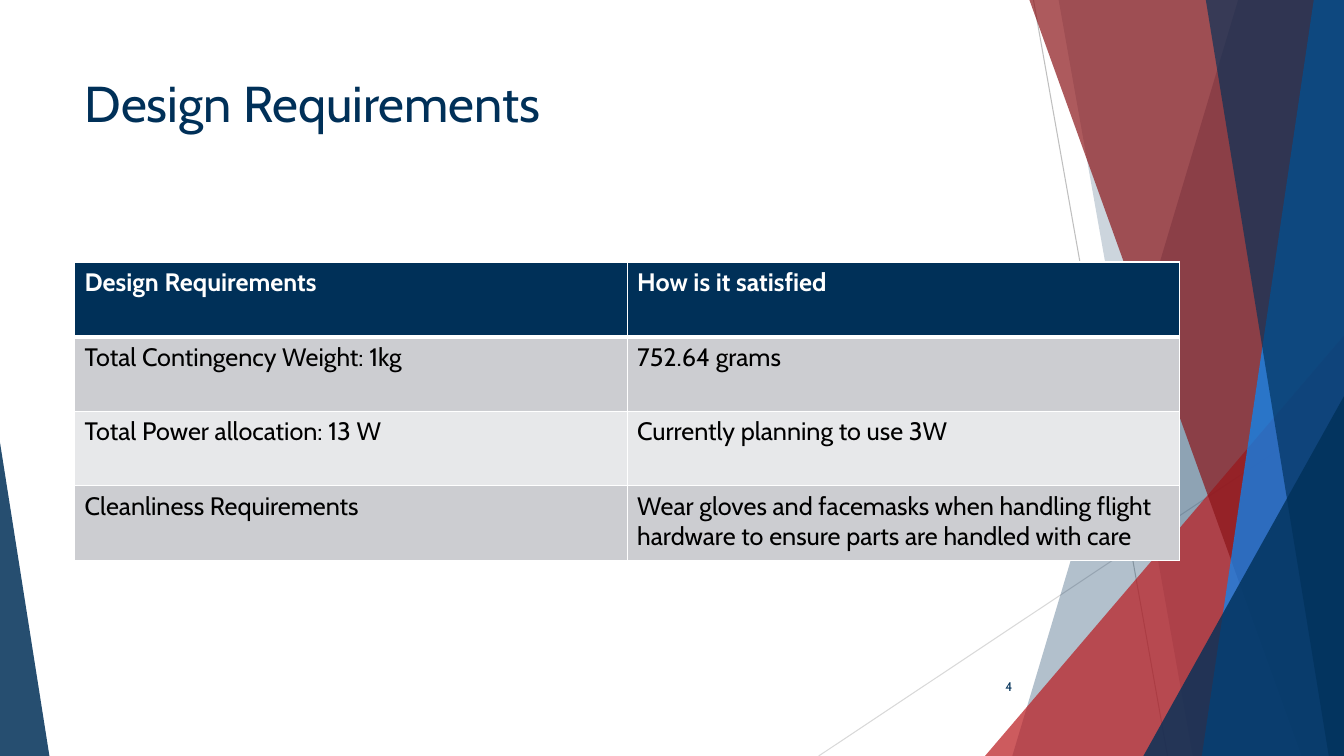
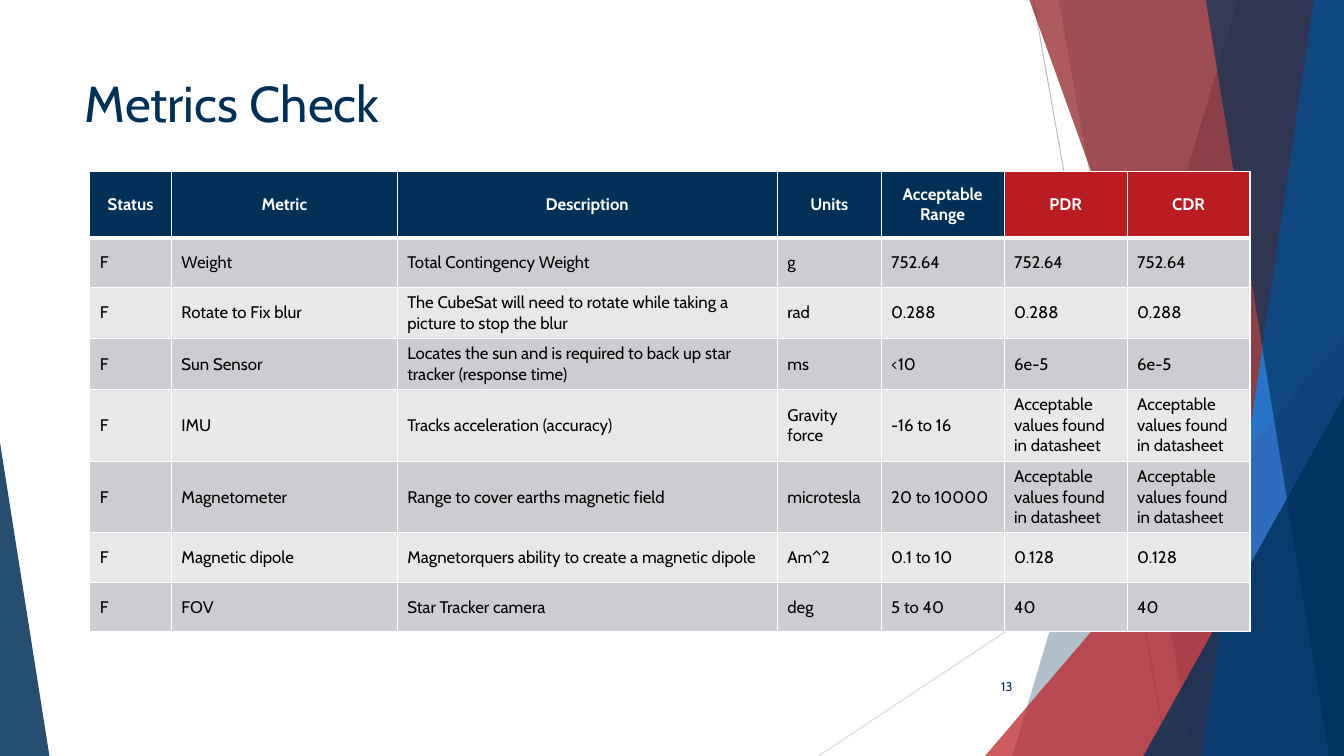
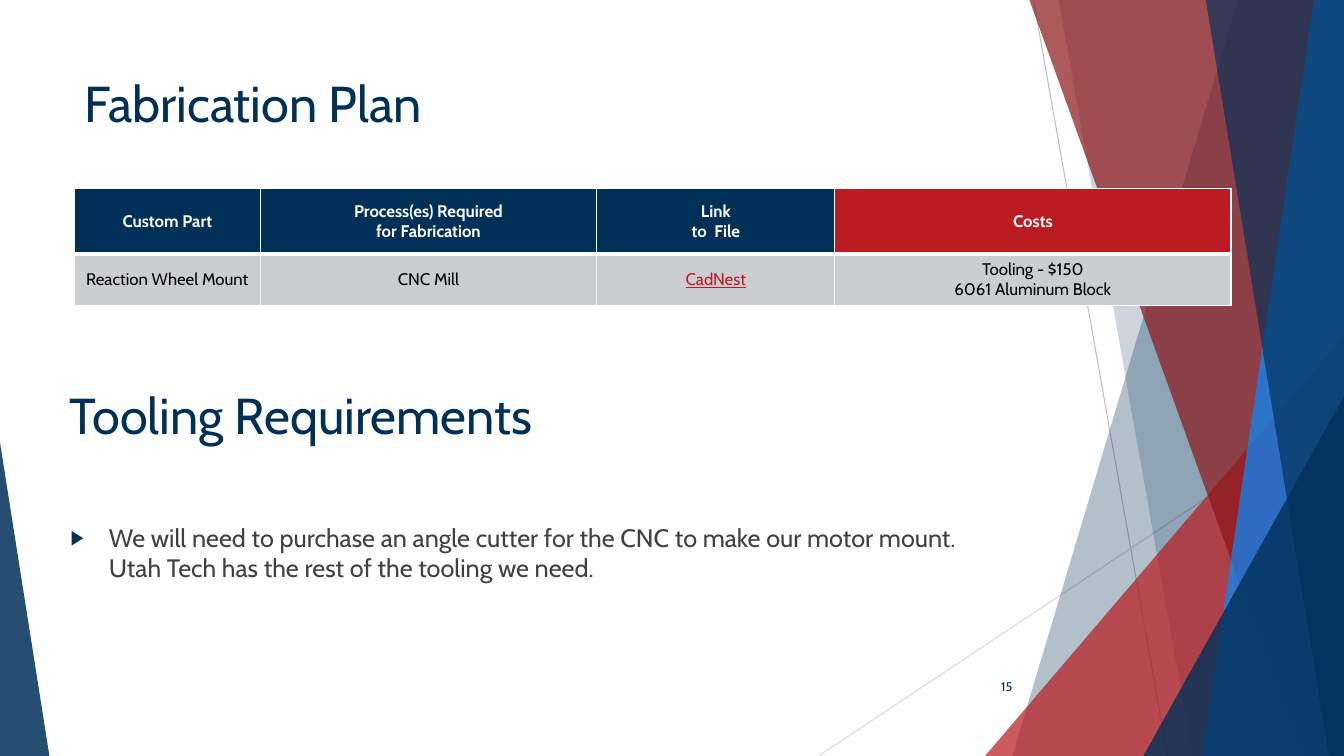
from lxml.etree import SubElement
from pptx import Presentation
from pptx.dml.color import RGBColor
from pptx.enum.shapes import MSO_CONNECTOR, MSO_SHAPE
from pptx.enum.text import MSO_ANCHOR, MSO_AUTO_SIZE, PP_ALIGN
from pptx.oxml.ns import qn
from pptx.util import Inches, Pt

# Shared look
WIDTH, HEIGHT = 13.33, 7.5
FONT = "Cabin"
NAVY = RGBColor(0x00, 0x30, 0x58)
RED = RGBColor(0xBA, 0x1C, 0x21)
DARK_RED = RGBColor(0x8B, 0x15, 0x19)
BLUE = RGBColor(0x02, 0x8C, 0xFF)
WHITE = RGBColor(0xFF, 0xFF, 0xFF)
BLACK = RGBColor(0x00, 0x00, 0x00)
BODY_GRAY = RGBColor(0x40, 0x40, 0x40)
BANDS = (RGBColor(0xCC, 0xCD, 0xD1), RGBColor(0xE7, 0xE8, 0xEA))

# Backdrop: thin lines, then facets from back to front
BACKDROP_LINES = [
    ((10.25, 0), (11.58, HEIGHT), RGBColor(0xBF, 0xBF, 0xBF)),
    ((WIDTH, 4.03), (8.12, HEIGHT), RGBColor(0xD9, 0xD9, 0xD9)),
]
# ribbon: top x, bottom x; triangle: left, top, right, apex position
FACETS = [
    ("ribbon", (12.28, 10.04), NAVY, 30),
    ("ribbon", (10.5, 11.83), NAVY, 20),
    ("triangle", (9.77, 3.33, WIDTH, 1), RED, 72),
    ("ribbon", (10.21, 12.91), DARK_RED, 70),
    ("ribbon", (13.03, 11.92), BLUE, 70),
    ("ribbon", (11.96, 13.18), NAVY, 65),
    ("triangle", (11.34, 3.93, WIDTH, 1), NAVY, 80),
    ("triangle", (0, 4.39, 0.49, 0), NAVY, 85),
]

# Content
REQUIREMENTS = [
    ("Design Requirements", "How is it satisfied"),
    ("Total Contingency Weight: 1kg", "752.64 grams"),
    ("Total Power allocation: 13 W", "Currently planning to use 3W"),
    ("Cleanliness Requirements",
     "Wear gloves and facemasks when handling flight hardware to ensure parts are handled with care"),
]
IN_DATASHEET = "Acceptable values found in datasheet"
METRICS = [
    ("Status", "Metric", "Description", "Units", "Acceptable\nRange", "PDR", "CDR"),
    ("F", "Weight", "Total Contingency Weight", "g", "752.64", "752.64", "752.64"),
    ("F", "Rotate to Fix blur",
     "The CubeSat will need to rotate while taking a picture to stop the blur",
     "rad", "0.288", "0.288", "0.288"),
    ("F", "Sun Sensor",
     "Locates the sun and is required to back up star tracker (response time)",
     "ms", "<10", "6e-5", "6e-5"),
    ("F", "IMU", "Tracks acceleration (accuracy)", "Gravity force", "-16 to 16",
     IN_DATASHEET, IN_DATASHEET),
    ("F", "Magnetometer", "Range to cover earths magnetic field", "microtesla",
     "20 to 10000", IN_DATASHEET, IN_DATASHEET),
    ("F", "Magnetic dipole", "Magnetorquers ability to create a magnetic dipole",
     "Am^2", "0.1 to 10", "0.128", "0.128"),
    ("F", "FOV", "Star Tracker camera", "deg", "5 to 40", "40", "40"),
]
FABRICATION = [
    ("Custom Part", "Process(es) Required\nfor Fabrication", "Link\nto  File", "Costs"),
    ("Reaction Wheel Mount", "CNC Mill", "CadNest", "Tooling - $150\n6061 Aluminum Block"),
]
TOOLING = ("We will need to purchase an angle cutter for the CNC to make our motor mount. "
           "Utah Tech has the rest of the tooling we need.")

SLIDES = [
    {"title": "Design Requirements", "number": 4,
     "table": {"rows": REQUIREMENTS, "at": (0.74, 2.6), "columns": [5.48] * 2,
               "heights": (0.74, 0.74), "size": 18, "anchor": MSO_ANCHOR.TOP,
               "header_align": PP_ALIGN.LEFT}},
    {"title": "Metrics Check", "number": 13,
     "table": {"rows": METRICS, "at": (0.89, 1.7),
               "columns": [0.81, 2.24, 3.77, 1.03] + [1.22] * 3,
               "heights": (0.66, 0.49), "red_headers": (5, 6)}},
    {"title": "Fabrication Plan", "number": 15,
     "table": {"rows": FABRICATION, "at": (0.74, 1.87),
               "columns": [1.84, 3.34, 2.36, 3.93], "heights": (0.65, 0.5),
               "red_headers": (3,), "body_align": PP_ALIGN.CENTER, "link_cell": (1, 2)},
     "subtitle": "Tooling Requirements", "bullet": TOOLING},
]


def place(shape, left, top, width, height):
    shape.left, shape.top = Inches(left), Inches(top)
    shape.width, shape.height = Inches(width), Inches(height)


def write(text_frame, text, size, color, align=PP_ALIGN.LEFT, bold=False, underline=None):
    text_frame.text = text
    for paragraph in text_frame.paragraphs:
        paragraph.alignment = align
        for run in paragraph.runs:
            font = run.font
            font.name, font.size, font.bold = FONT, Pt(size), bold
            font.underline = underline
            font.color.rgb = color


def fit_frame(shape, anchor=MSO_ANCHOR.TOP):
    frame = shape.text_frame
    frame.word_wrap = True
    frame.auto_size = MSO_AUTO_SIZE.NONE
    frame.vertical_anchor = anchor
    return frame


def add_text_box(slide, box, anchor=MSO_ANCHOR.TOP):
    return fit_frame(slide.shapes.add_textbox(*map(Inches, box)), anchor)


def add_facet(shapes, kind, geometry, color, opacity):
    if kind == "ribbon":
        top_x, bottom_x = geometry
        outline = shapes.build_freeform(Inches(top_x), 0)
        corners = [(WIDTH, 0), (WIDTH, HEIGHT), (bottom_x, HEIGHT)]
        outline.add_line_segments([(Inches(x), Inches(y)) for x, y in corners], close=True)
        facet = outline.convert_to_shape()
    else:
        left, top, right, apex = geometry
        facet = shapes.add_shape(MSO_SHAPE.ISOSCELES_TRIANGLE, Inches(left), Inches(top),
                                 Inches(right - left), Inches(HEIGHT - top))
        facet.adjustments[0] = apex
    facet.shadow.inherit = False
    facet.line.fill.background()
    facet.fill.solid()
    facet.fill.fore_color.rgb = color
    color_element = facet.element.spPr.find(".//" + qn("a:srgbClr"))
    SubElement(color_element, qn("a:alpha")).set("val", str(opacity * 1000))


def add_backdrop(presentation, slide):
    """Build the backdrop as one group and move it to the master."""
    group = slide.shapes.add_group_shape()
    for start, end, color in BACKDROP_LINES:
        line = group.shapes.add_connector(MSO_CONNECTOR.STRAIGHT, *map(Inches, start + end))
        line.line.color.rgb = color
        line.line.width = Pt(0.75)
        SubElement(line.element.spPr, qn("a:effectLst"))
    for facet in FACETS:
        add_facet(group.shapes, *facet)
    for number, properties in enumerate(group.element.iter(qn("p:cNvPr")), 100):
        properties.set("id", str(number))
    presentation.slide_master.shapes.element.insert(2, group.element)


def set_borders(cell, top, bottom):
    properties = cell._tc.get_or_add_tcPr()
    for position, (side, width) in enumerate(
            [("lnL", 1), ("lnR", 1), ("lnT", top), ("lnB", bottom)]):
        border = SubElement(properties, qn("a:" + side), w=str(Pt(width)))
        fill = SubElement(border, qn("a:solidFill"))
        SubElement(fill, qn("a:srgbClr"), val=str(WHITE))
        properties.insert(position, border)


def add_table(slide, rows, at, columns, heights, size=12, anchor=MSO_ANCHOR.MIDDLE,
              header_align=PP_ALIGN.CENTER, body_align=PP_ALIGN.LEFT,
              red_headers=(), link_cell=None):
    header_height, row_height = heights
    total = header_height + row_height * (len(rows) - 1)
    table = slide.shapes.add_table(len(rows), len(columns), *map(Inches, at),
                                   Inches(sum(columns)), Inches(total)).table
    table.horz_banding = False
    for column, width in zip(table.columns, columns):
        column.width = Inches(width)
    for r, texts in enumerate(rows):
        header = r == 0
        table.rows[r].height = Inches(header_height if header else row_height)
        for c, text in enumerate(texts):
            cell = table.cell(r, c)
            linked = (r, c) == link_cell
            cell.vertical_anchor = anchor
            cell.fill.solid()
            if header:
                cell.fill.fore_color.rgb = RED if c in red_headers else NAVY
                write(cell.text_frame, text, size, WHITE, header_align, bold=True)
            else:
                cell.fill.fore_color.rgb = BANDS[(r - 1) % 2]
                write(cell.text_frame, text, size, RED if linked else BLACK,
                      body_align, underline=linked)
            set_borders(cell, top=3 if r == 1 else 1, bottom=3 if header else 1)


def add_bullet(placeholder, text):
    place(placeholder, 0.6, 5.13, 9.4, 1.21)
    frame = fit_frame(placeholder)
    write(frame, text, 18, BODY_GRAY)
    paragraph = frame.paragraphs[0]
    paragraph.space_before = Pt(0)
    properties = paragraph._p.get_or_add_pPr()
    properties.set("marL", str(Inches(0.38)))
    properties.set("indent", str(Inches(-0.38)))
    SubElement(SubElement(properties, qn("a:buClr")), qn("a:srgbClr"), val=str(NAVY))
    SubElement(properties, qn("a:buSzPct"), val="80000")
    SubElement(properties, qn("a:buChar"), char="▶")


def main():
    presentation = Presentation()
    presentation.slide_width, presentation.slide_height = Inches(WIDTH), Inches(HEIGHT)
    title_and_content, title_only = (presentation.slide_layouts[i] for i in (1, 5))

    for index, content in enumerate(SLIDES):
        has_bullet = "bullet" in content
        slide = presentation.slides.add_slide(title_and_content if has_bullet else title_only)
        if index == 0:
            add_backdrop(presentation, slide)

        title = slide.shapes.title
        place(title, 0.74, 0.67, 9.4, 0.99)
        write(fit_frame(title), content["title"], 36, NAVY)
        add_table(slide, **content["table"])
        if has_bullet:
            write(add_text_box(slide, (0.59, 3.76, 9.4, 0.83)), content["subtitle"], 36, NAVY)
            add_bullet(slide.placeholders[1], content["bullet"])

        number = add_text_box(slide, (9.39, 6.61, 0.75, 0.4), MSO_ANCHOR.MIDDLE)
        write(number, str(content["number"]), 9, NAVY, PP_ALIGN.RIGHT)

    presentation.save("out.pptx")


if __name__ == "__main__":
    main()
